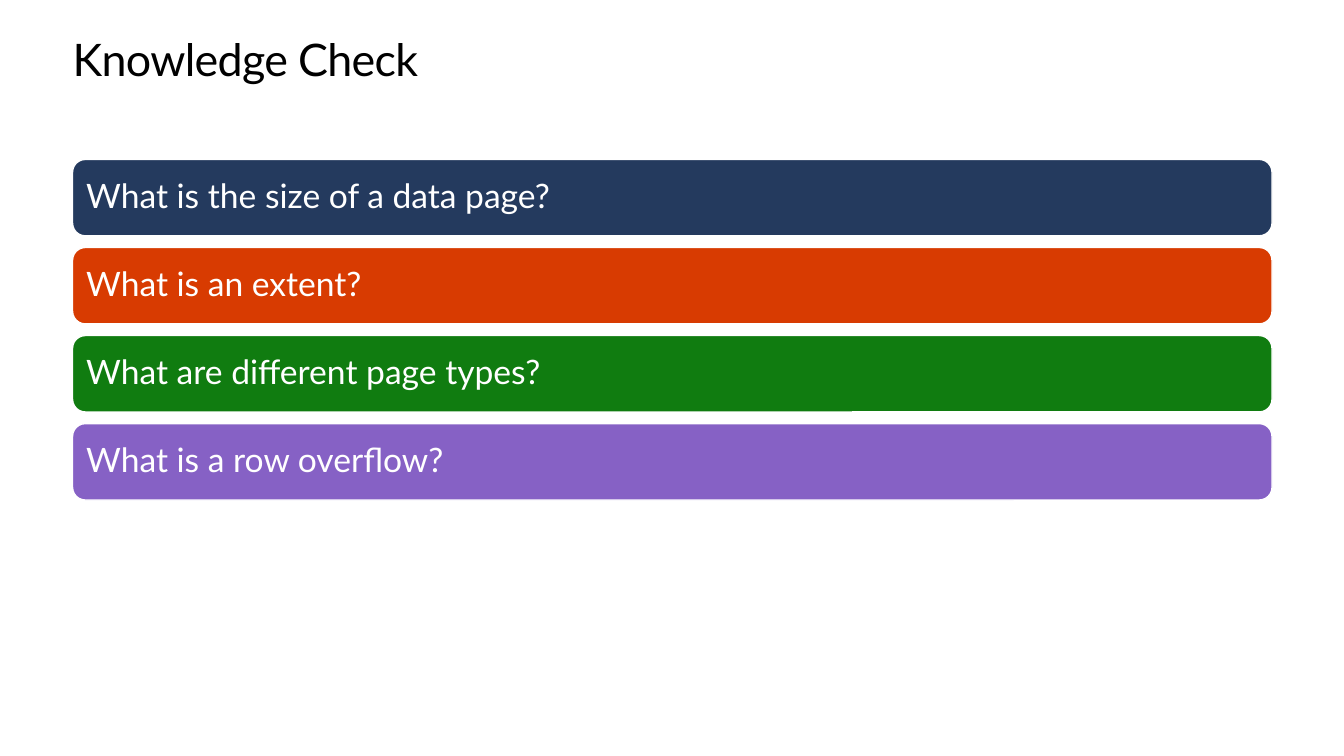
from pptx import Presentation
from pptx import util as u
from pptx.dml.color import RGBColor
from pptx.enum import shapes, text

COLOURS = {"black": "000000", "white": "FFFFFF", "navy": "243A5E",
           "orange": "D83B01", "green": "107C10", "purple": "8661C5"}
QUESTIONS = [("What is the size of a data page?", "navy"),
             ("What is an extent?", "orange"),
             ("What are different page types?", "green"),
             ("What is a row overflow?", "purple")]
LEFT, WIDTH = 51.84, 856.8
BAR_TOP, BAR_HEIGHT, BAR_PITCH = 113.9, 54.6, 62.9


class QuizSlide:
    """Hold the text style and the current slide, and add its elements."""

    def __init__(self, presentation, font="Lato"):
        self.slide = presentation.slides.add_slide(presentation.slide_layouts[5])
        self.font = font

    def place(self, shape, top, height):
        box = {"left": LEFT, "top": top, "width": WIDTH, "height": height}
        for name, value in box.items():
            setattr(shape, name, u.Pt(value))

    def label(self, shape, words, size, colour, spacing, inset, anchor):
        frame = shape.text_frame
        frame_format = {"word_wrap": True, "vertical_anchor": anchor,
                        "auto_size": text.MSO_AUTO_SIZE.NONE}
        for side in ("left", "top", "right", "bottom"):
            frame_format[f"margin_{side}"] = u.Pt(inset)
        for name, value in frame_format.items():
            setattr(frame, name, value)
        paragraph = frame.paragraphs[0]
        paragraph.alignment = text.PP_ALIGN.LEFT
        paragraph.line_spacing = spacing
        run = paragraph.add_run()
        run.text = words
        for name, value in {"name": self.font, "size": u.Pt(size)}.items():
            setattr(run.font, name, value)
        run.font.color.rgb = RGBColor.from_string(COLOURS[colour])
        return run

    def title(self, words):
        shape = self.slide.shapes.title
        self.place(shape, 25.2, 36)
        run = self.label(shape, words, 32, "black", u.Pt(36.2), 0,
                         text.MSO_ANCHOR.TOP)
        run.font._element.set("spc", "-50")

    def bar(self, words, colour, top):
        shape = self.slide.shapes.add_shape(
            shapes.MSO_SHAPE.ROUNDED_RECTANGLE, 0, 0, 0, 0)
        self.place(shape, top, BAR_HEIGHT)
        shape.shadow.inherit = False
        shape.fill.solid()
        shape.fill.fore_color.rgb = RGBColor.from_string(COLOURS[colour])
        shape.line.color.rgb = RGBColor.from_string(COLOURS["white"])
        shape.line.width = u.Pt(1)
        self.label(shape, words, 24, "white", 0.9, 7.2, text.MSO_ANCHOR.MIDDLE)


def main():
    presentation = Presentation()
    presentation.slide_width = u.Pt(960)
    presentation.slide_height = u.Pt(540)
    quiz = QuizSlide(presentation)
    quiz.title("Knowledge Check")
    for index, (question, colour) in enumerate(QUESTIONS):
        quiz.bar(question, colour, BAR_TOP + index * BAR_PITCH)
    presentation.save("out.pptx")


if __name__ == "__main__":
    main()
